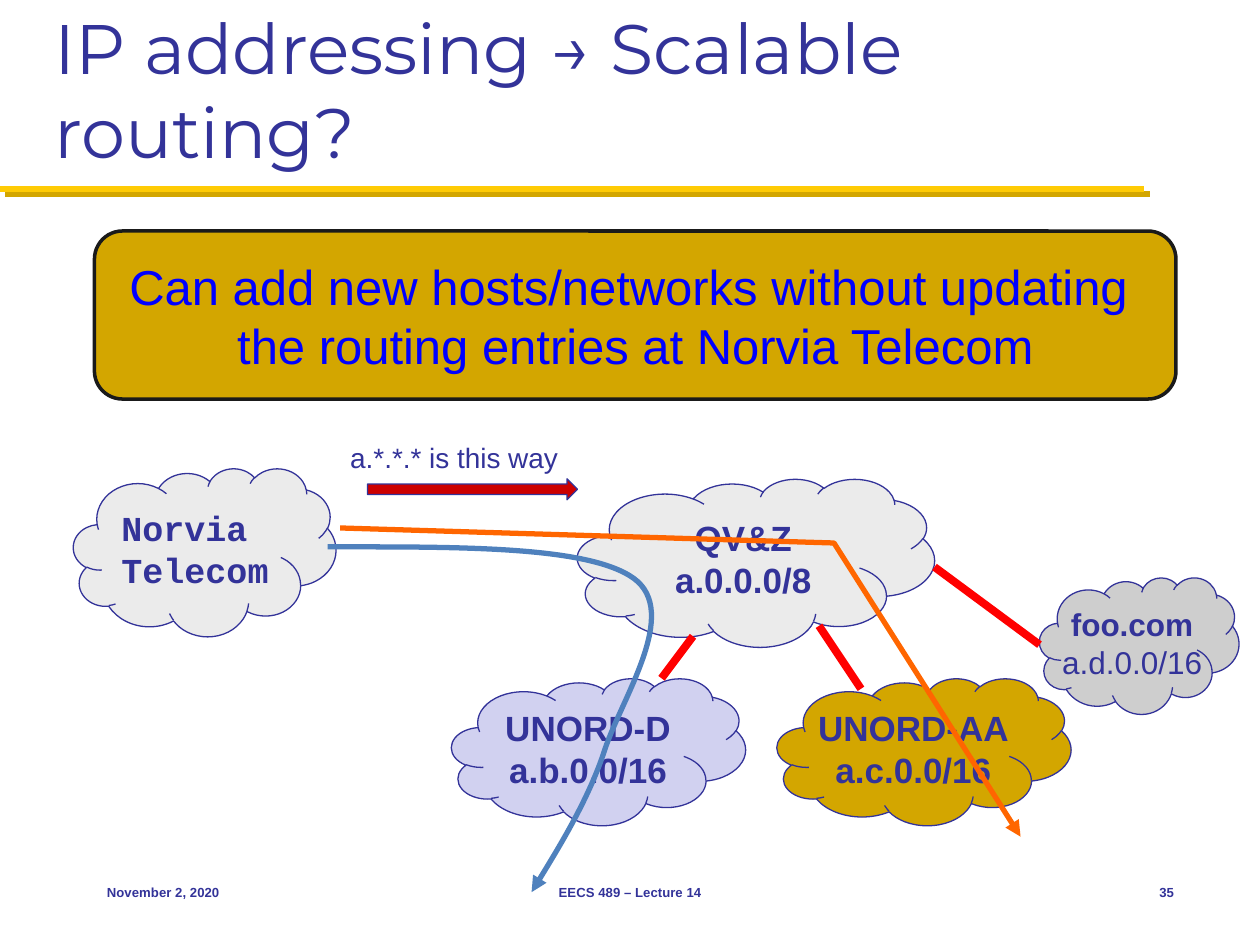
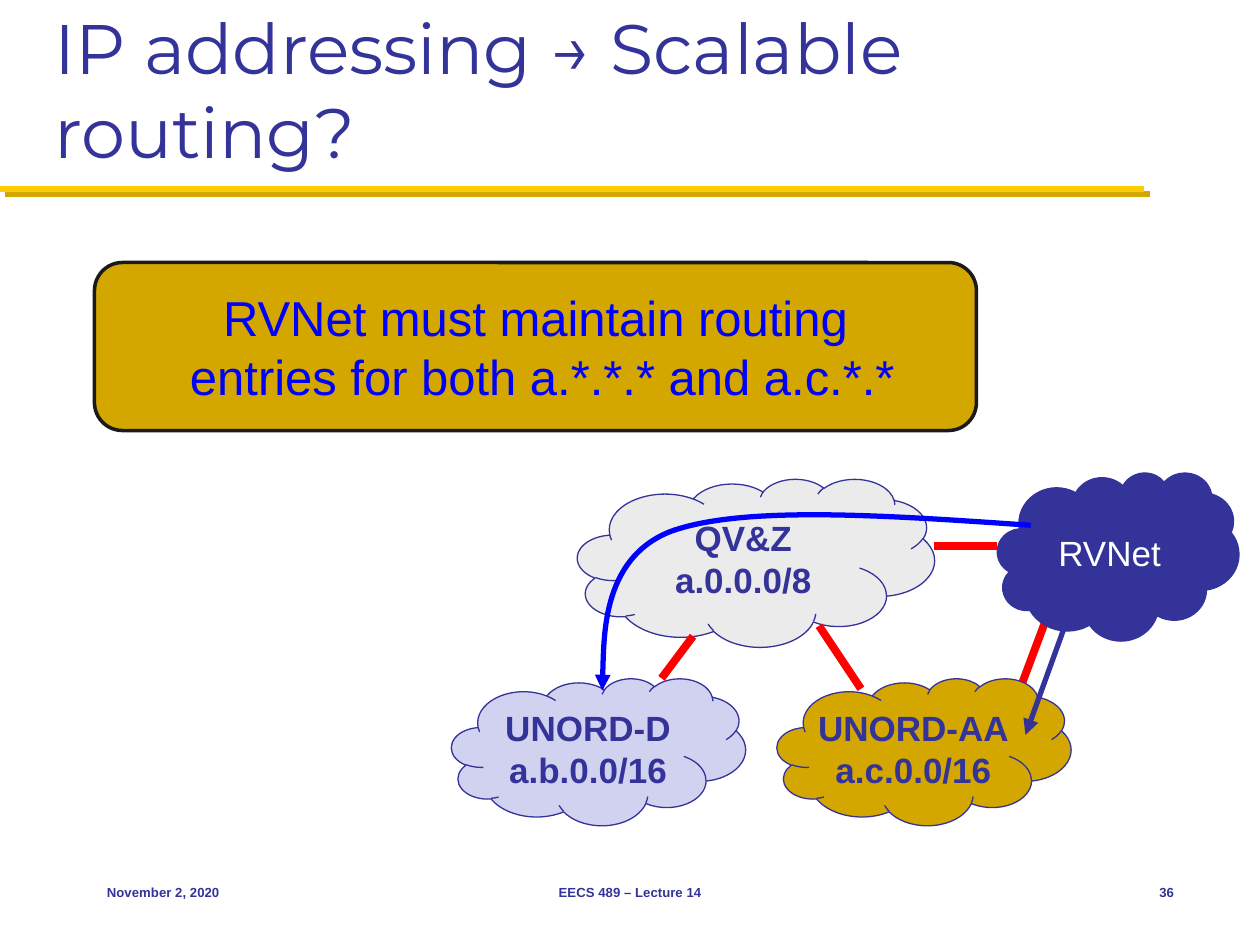
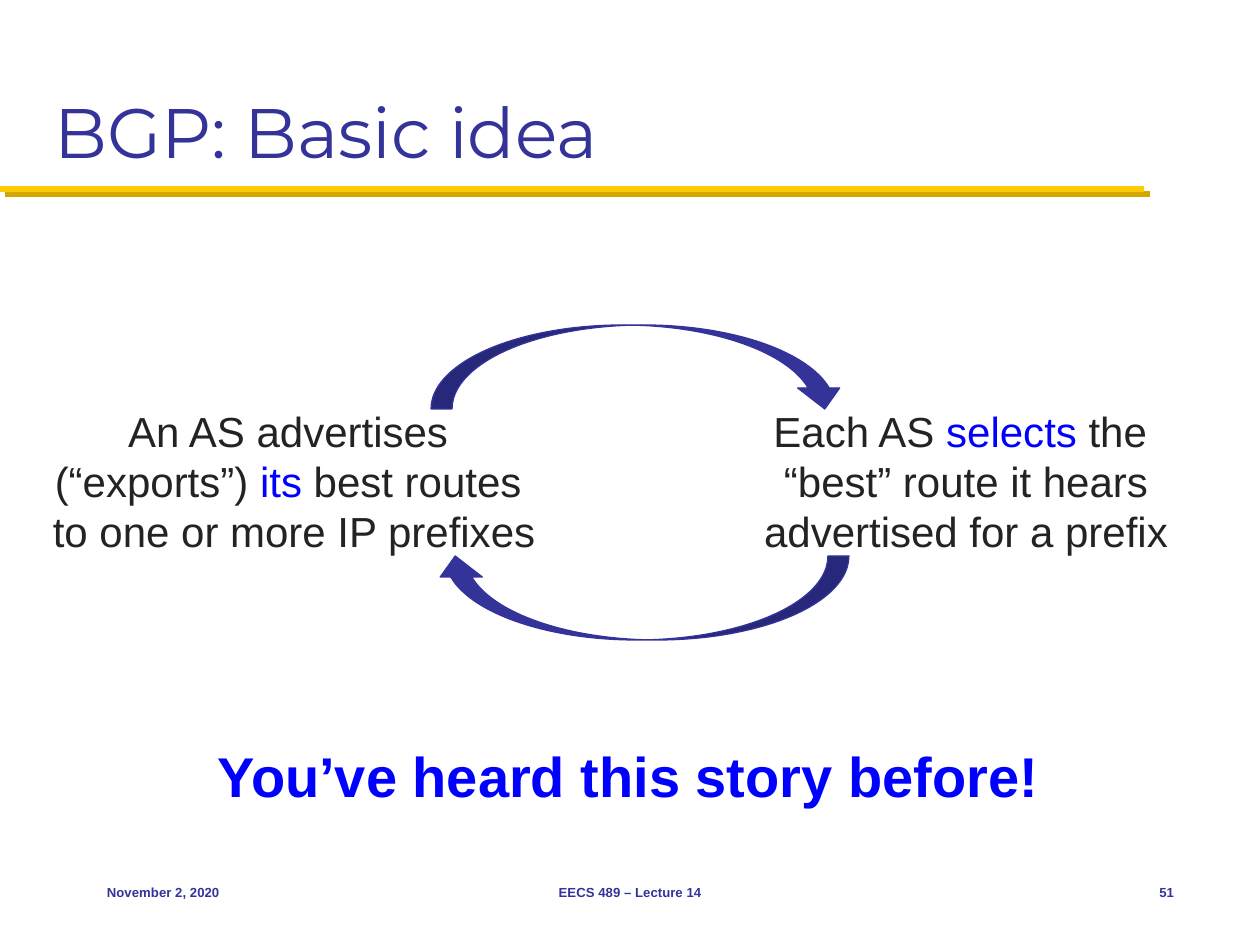
"""Build three lecture slides on scalable routing and BGP."""
from lxml import etree
from pptx import Presentation
from pptx.dml.color import RGBColor
from pptx.enum.shapes import MSO_CONNECTOR, MSO_SHAPE
from pptx.enum.text import MSO_ANCHOR, MSO_AUTO_SIZE, PP_ALIGN
from pptx.oxml.ns import qn
from pptx.util import Pt

CLOUD, ROUND = MSO_SHAPE.CLOUD, MSO_SHAPE.ROUNDED_RECTANGLE
ARROW, CURVED = MSO_SHAPE.LEFT_ARROW, MSO_SHAPE.CURVED_LEFT_ARROW
LEFT, CENTER, RIGHT = PP_ALIGN.LEFT, PP_ALIGN.CENTER, PP_ALIGN.RIGHT
TOP, MIDDLE, BOTTOM = MSO_ANCHOR.TOP, MSO_ANCHOR.MIDDLE, MSO_ANCHOR.BOTTOM
STRAIGHT, FIT = MSO_CONNECTOR.STRAIGHT, MSO_AUTO_SIZE.SHAPE_TO_FIT_TEXT

NAVY, BLUE, RED, INK = "333399", "0000FF", "FF0000", "232323"
GOLD, YELLOW, PALE, LILAC = "D3A600", "FFCB05", "EBEBEB", "D1D1F0"

TITLE = dict(name="Montserrat", size=40, color=NAVY)
FOOT = dict(name="Arial", size=7.5, color=NAVY, bold=True)
NODE = dict(name="Arial", size=20, color=NAVY, bold=True)
MONO = dict(NODE, name="Courier New")
PLAIN = dict(NODE, color="FFFFFF", bold=False)
SITE = dict(NODE, size=18)
LABEL = dict(name="Arial", size=16, color=NAVY)
CALLOUT = dict(name="Arial", size=28, color=BLUE)
BODY = dict(name="Arial", size=24, color=INK)
KEY = dict(BODY, color=BLUE)
STORY = dict(name="Arial", size=32, color=BLUE, bold=True)

FOOTERS = [((54, 492, 150, 36), "November 2, 2020", LEFT),
           ((246, 492, 228, 36), "EECS 489 – Lecture 14", CENTER)]
NUMBER_BOX = (630, 492, 48, 36)


def color(value):
    return RGBColor.from_string(value)


def write(sp, paragraphs, align=LEFT, anchor=TOP, wrap=False, before=None):
    tf = sp.text_frame
    tf.word_wrap, tf.vertical_anchor = wrap, anchor
    for i, runs in enumerate(paragraphs):
        p = tf.paragraphs[0] if i == 0 else tf.add_paragraph()
        p.alignment = align
        if before:
            p.space_before = Pt(before)
        for text, fmt in runs:
            for j, part in enumerate(text.split("\n")):
                if j:
                    p.add_line_break()
                if part:
                    r = p.add_run()
                    r.text = part
                    for key, value in fmt.items():
                        if key == "color":
                            r.font.color.rgb = color(value)
                        else:
                            setattr(r.font, key, Pt(value) if key == "size" else value)


def text(s, box, paragraphs, fit=False, **layout):
    sp = s.shapes.add_textbox(*map(Pt, box))
    write(sp, paragraphs, **layout)
    if fit:
        sp.text_frame.auto_size = FIT


def shape(s, kind, box, fill, line=NAVY, width=0.75, paragraphs=(), align=CENTER, rotation=0):
    sp = s.shapes.add_shape(kind, *map(Pt, box))
    sp.shadow.inherit = False
    sp.rotation = rotation
    sp.fill.solid()
    sp.fill.fore_color.rgb = color(fill)
    stroke(sp, line, width)
    write(sp, paragraphs, align, MIDDLE)


def stroke(sp, rgb, width, arrow=False):
    sp.line.color.rgb = color(rgb)
    sp.line.width = Pt(width)
    if arrow:
        ln = sp._element.spPr.find(qn("a:ln"))
        etree.SubElement(ln, qn("a:tailEnd"), type="triangle")


def line(s, start, end, rgb=RED, width=4.5, arrow=False):
    sp = s.shapes.add_connector(STRAIGHT, *map(Pt, start + end))
    stroke(sp, rgb, width, arrow)
    return etree.SubElement(sp._element.spPr, qn("a:effectLst"))


def route(s, points, rgb, curved=False):
    start, *rest = [tuple(map(Pt, point)) for point in points]
    builder = s.shapes.build_freeform(*start)
    builder.add_line_segments(rest, close=False)
    sp = builder.convert_to_shape()
    sp.shadow.inherit = False
    sp.fill.background()
    stroke(sp, rgb, 3, arrow=True)
    if curved:
        segments = list(sp._element.iter(qn("a:lnTo")))
        for i in range(0, len(segments), 3):
            bezier = etree.Element(qn("a:cubicBezTo"))
            segments[i].addprevious(bezier)
            for segment in segments[i:i + 3]:
                bezier.append(segment[0])
                segment.getparent().remove(segment)


def frame(s, title, number):
    effects = line(s, (0, 108), (654, 108), YELLOW, 3.5)
    shadow = etree.SubElement(effects, qn("a:outerShdw"), blurRad="0", dist=str(Pt(4.2)),
                              dir="2700000", algn="ctr", rotWithShape="0")
    etree.SubElement(shadow, qn("a:srgbClr"), val=GOLD)
    text(s, (24, 12, 672, 90), [[(title, TITLE)]], anchor=BOTTOM, wrap=True)
    for box, words, align in FOOTERS + [(NUMBER_BOX, number, RIGHT)]:
        text(s, box, [[(words, FOOT)]], align=align, anchor=MIDDLE)


def cloud(s, box, fill, runs, align=CENTER):
    shape(s, CLOUD, box, fill, paragraphs=[runs], align=align)


def callout(s, box, lines):
    shape(s, ROUND, box, GOLD, "1A1A1A", 2, [[(words, CALLOUT)] for words in lines])


PROVIDER = [(cloud, dict(box=(330, 273.6, 204, 96), fill=PALE, runs=[("QV&Z\na.0.0.0/8", NODE)]))]
CAMPUSES = [(cloud, dict(box=(258, 387.6, 168, 84), fill=LILAC, runs=[("UNORD-D\na.b.0.0/16", NODE)])),
            (cloud, dict(box=(444, 387.6, 168, 84), fill=GOLD, runs=[("UNORD-AA\na.c.0.0/16", NODE)]))]
CAMPUS_LINKS = [(line, dict(start=(396, 363.6), end=(378, 387.6))),
                (line, dict(start=(468, 357.6), end=(492, 393.6)))]

SLIDES = [
    ("IP addressing → Scalable routing?", "35", PROVIDER + [
        (cloud, dict(box=(42, 267.6, 150, 96), fill=PALE, runs=[("Norvia \nTelecom", MONO)], align=RIGHT)),
    ] + CAMPUSES + [
        (route, dict(points=[(187.2, 312.5), (262.1, 312.5), (336.2, 311.8), (362.2, 330.5),
                             (388.8, 349.9), (355.7, 398.2), (345.6, 428.4),
                             (336.2, 457.9), (303.8, 509.8), (303.8, 509.8)], rgb="4F81BD", curved=True)),
    ] + CAMPUS_LINKS + [
        (route, dict(points=[(194.4, 301.7), (476.6, 310.3), (583.2, 478.1)], rgb="FF6600")),
        (shape, dict(kind=ARROW, box=(210, 273.6, 120, 12), fill="CC0000", rotation=180)),
        (text, dict(box=(193, 248.4, 135.4, 26.6), paragraphs=[[("a.*.*.* is this way", LABEL)]], fit=True)),
        (cloud, dict(box=(594, 330, 114, 78), fill="CECECE",
                     runs=[("foo.com\n", SITE), ("a.d.0.0/16", dict(SITE, bold=False))])),
        (line, dict(start=(534, 324), end=(594, 368.4))),
        (callout, dict(box=(54, 132, 618, 96),
                       lines=["Can add new hosts/networks without updating ",
                              "the routing entries at Norvia Telecom"])),
    ]),
    ("IP addressing → Scalable routing?", "36", [
        (line, dict(start=(600, 348), end=(582, 396))),
    ] + PROVIDER + CAMPUSES + CAMPUS_LINKS + [
        (cloud, dict(box=(570, 270, 138, 96), fill=NAVY, runs=[("RVNet", PLAIN)])),
        (line, dict(start=(570, 312), end=(534, 312))),
        (route, dict(points=[(589, 300.2), (506.2, 294.5), (424.1, 288.7), (383, 303.8),
                             (342.7, 319.7), (344.2, 394.6), (344.2, 394.6)], rgb=BLUE, curved=True)),
        (line, dict(start=(612, 348), end=(586, 420), rgb=NAVY, width=3, arrow=True)),
        (callout, dict(box=(54, 150, 504, 96),
                       lines=["RVNet must maintain routing\n entries for both a.*.*.* and a.c.*.*"])),
    ]),
    ("BGP: Basic idea", "51", [
        (text, dict(box=(384, 228, 336, 102), align=CENTER, wrap=True, before=4.8, paragraphs=[[
            ("Each AS ", BODY), ("selects", KEY),
            (" the \n“best” route it hears advertised for a prefix", BODY)]])),
        (shape, dict(kind=CURVED, box=(340.8, 91.2, 48, 237), fill=NAVY, rotation=270)),
        (text, dict(box=(18, 228, 300, 102), align=CENTER, wrap=True, before=4.8, paragraphs=[[
            ("An AS advertises \n(“exports”) ", BODY), ("its", KEY),
            (" best routes \nto one or more IP prefixes", BODY)]])),
        (shape, dict(kind=CURVED, box=(342.6, 223.2, 48, 237), fill=NAVY, rotation=90)),
        (text, dict(box=(117.4, 420, 489, 46), paragraphs=[[("You’ve heard this story before!", STORY)]],
                    fit=True)),
    ]),
]

prs = Presentation()
prs.slide_width, prs.slide_height = Pt(720), Pt(540)
for title, number, parts in SLIDES:
    s = prs.slides.add_slide(prs.slide_layouts[6])
    frame(s, title, number)
    for draw, values in parts:
        draw(s, **values)
prs.save("out.pptx")
